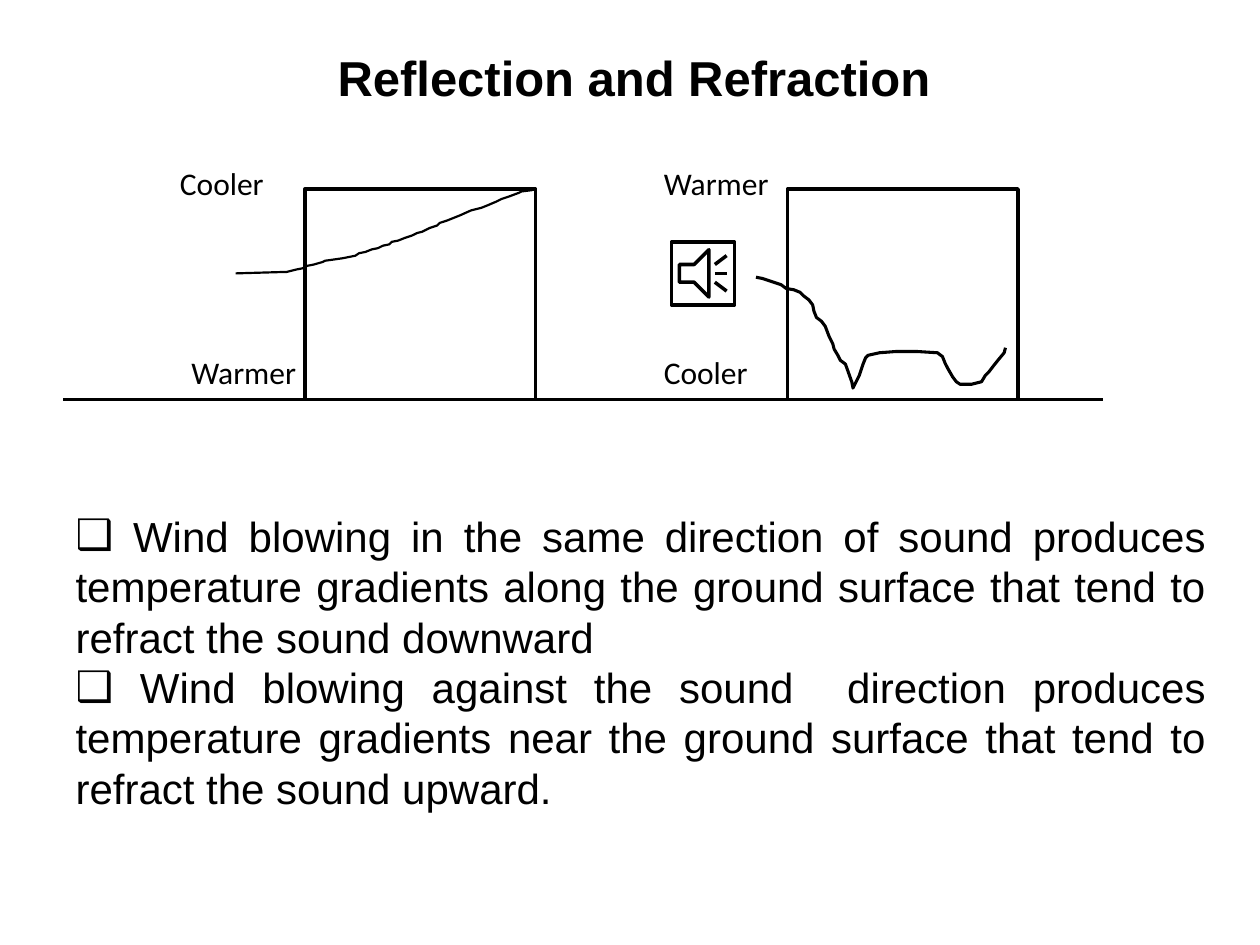
from pptx import Presentation
from pptx import util as u
from pptx.dml.color import RGBColor
from pptx.enum import shapes, text
from pptx.oxml.ns import qn
from lxml import etree

BLACK = "000000"
GROUND = 3.17
ROOM_TOP, ROOM_WIDTH = 1.5, 1.83

# Sound ray bending upward, over warm ground
RISING_RAY = [
    (1.87, 2.17), (2.22, 2.16), (2.27, 2.16), (2.35, 2.14), (2.4, 2.13),
    (2.44, 2.11), (2.49, 2.1), (2.56, 2.08), (2.58, 2.07), (2.65, 2.06),
    (2.72, 2.05), (2.82, 2.03), (2.85, 2.01), (2.9, 2), (2.95, 1.98),
    (3, 1.97), (3.04, 1.95), (3.09, 1.94), (3.11, 1.92), (3.16, 1.91),
    (3.21, 1.89), (3.27, 1.87), (3.31, 1.85), (3.35, 1.84), (3.41, 1.81),
    (3.47, 1.79), (3.49, 1.77), (3.55, 1.75), (3.65, 1.71), (3.74, 1.67),
    (3.82, 1.65), (3.87, 1.63), (3.94, 1.6), (3.98, 1.58), (4.04, 1.56),
    (4.12, 1.53), (4.14, 1.52), (4.22, 1.51), (4.25, 1.5),
]
# Sound ray bending downward and bouncing off cool ground
FALLING_RAY = [
    (6, 2.2), (6.05, 2.21), (6.11, 2.23), (6.2, 2.26), (6.24, 2.29),
    (6.3, 2.3), (6.35, 2.32), (6.38, 2.35), (6.42, 2.38), (6.45, 2.42),
    (6.46, 2.47), (6.48, 2.52), (6.52, 2.55), (6.55, 2.59), (6.58, 2.67),
    (6.61, 2.73), (6.62, 2.77), (6.65, 2.82), (6.67, 2.86), (6.71, 2.89),
    (6.76, 3.03), (6.77, 3.08), (6.8, 3.02), (6.82, 2.98), (6.85, 2.89),
    (6.87, 2.84), (6.89, 2.82), (6.98, 2.8), (7.11, 2.79), (7.28, 2.79),
    (7.44, 2.8), (7.48, 2.83), (7.5, 2.88), (7.52, 2.92), (7.56, 2.99),
    (7.59, 3.03), (7.62, 3.05), (7.71, 3.05), (7.79, 3.03), (7.82, 2.98),
    (7.85, 2.95), (7.88, 2.91), (7.92, 2.86), (7.97, 2.8), (7.98, 2.76),
]
# Text, left, top, width
LABELS = [
    ("Cooler", 1.33, 1.25, 1), ("Warmer", 1.42, 2.75, 1.17),
    ("Warmer", 5.17, 1.25, 1.17), ("Cooler", 5.17, 2.75, 1),
]
FINDINGS = [
    " Wind blowing in the same direction of sound produces temperature "
    "gradients along the ground surface that tend to refract the sound downward",
    " Wind blowing against the sound  direction produces temperature "
    "gradients near the ground surface that tend to refract the sound upward.",
]


def color(value):
    return RGBColor.from_string(value)


def place(box, left, top, width, height):
    box.left, box.top = u.Inches(left), u.Inches(top)
    box.width, box.height = u.Inches(width), u.Inches(height)


def prepare_frame(box):
    frame = box.text_frame
    frame.word_wrap = True
    frame.auto_size = text.MSO_AUTO_SIZE.SHAPE_TO_FIT_TEXT
    frame.vertical_anchor = text.MSO_ANCHOR.TOP
    return frame


def add_span(para, words, size, face, bold=False):
    span = para.add_run()
    span.text = words
    span.font.size, span.font.name, span.font.bold = u.Pt(size), face, bold
    span.font.color.rgb = color(BLACK)


def add_bullet(para, mark):
    props = para._p.get_or_add_pPr()
    props.set("marL", "0")
    props.set("indent", "0")
    etree.SubElement(props, qn("a:buFont")).set("typeface", "Arial")
    etree.SubElement(props, qn("a:buChar")).set("char", mark)


def stroke(shape, weight):
    shape.line.color.rgb = color(BLACK)
    shape.line.width = u.Pt(weight)


def add_outline(page, kind, left, top, width, height):
    shape = page.shapes.add_shape(kind, *map(u.Inches, (left, top, width, height)))
    shape.shadow.inherit = False
    shape.fill.background()
    stroke(shape, 2)


def add_ray(page, points, weight):
    start, *rest = [(u.Inches(x), u.Inches(y)) for x, y in points]
    builder = page.shapes.build_freeform(*start)
    builder.add_line_segments(rest, close=False)
    ray = builder.convert_to_shape()
    ray.shadow.inherit = False
    ray.fill.background()
    stroke(ray, weight)


def add_ground(page):
    ground = page.shapes.add_connector(
        shapes.MSO_CONNECTOR.STRAIGHT,
        u.Inches(0.5), u.Inches(GROUND), u.Inches(8.75), u.Inches(GROUND))
    stroke(ground, 1.75)
    etree.SubElement(ground._element.spPr, qn("a:effectLst"))


def add_label(page, words, left, top, width):
    box = page.shapes.add_textbox(*map(u.Inches, (left, top, width, 0.4)))
    add_span(prepare_frame(box).paragraphs[0], words, 18, "Calibri")


def fill_title(box):
    place(box, 1.75, 0.33, 6.67, 0.57)
    para = prepare_frame(box).paragraphs[0]
    para.alignment = text.PP_ALIGN.CENTER
    add_span(para, "Reflection and Refraction ", 28, "Arial", bold=True)


def fill_findings(box):
    place(box, 0.5, 4, 9.17, 3.13)
    frame = prepare_frame(box)
    for index, words in enumerate(FINDINGS):
        para = frame.add_paragraph() if index else frame.paragraphs[0]
        para.alignment = text.PP_ALIGN.JUSTIFY
        para.space_before = u.Pt(0)
        add_bullet(para, "❑")
        add_span(para, words, 24, "Arial")


def main():
    deck = Presentation()
    deck.slide_width, deck.slide_height = u.Inches(10), u.Inches(7.5)
    page = deck.slides.add_slide(deck.slide_layouts[1])
    fill_title(page.shapes.title)

    # Two air layers standing on the ground, with the sound source
    for left in (2.42, 6.25):
        add_outline(page, shapes.MSO_SHAPE.RECTANGLE,
                    left, ROOM_TOP, ROOM_WIDTH, GROUND - ROOM_TOP)
    add_ground(page)
    add_outline(page, shapes.MSO_SHAPE.ACTION_BUTTON_SOUND, 5.33, 1.92, 0.5, 0.5)

    # Sound rays and temperature labels
    add_ray(page, RISING_RAY, 1.25)
    add_ray(page, FALLING_RAY, 1.75)
    for label in LABELS:
        add_label(page, *label)

    fill_findings(page.placeholders[1])
    deck.save("out.pptx")


if __name__ == "__main__":
    main()
